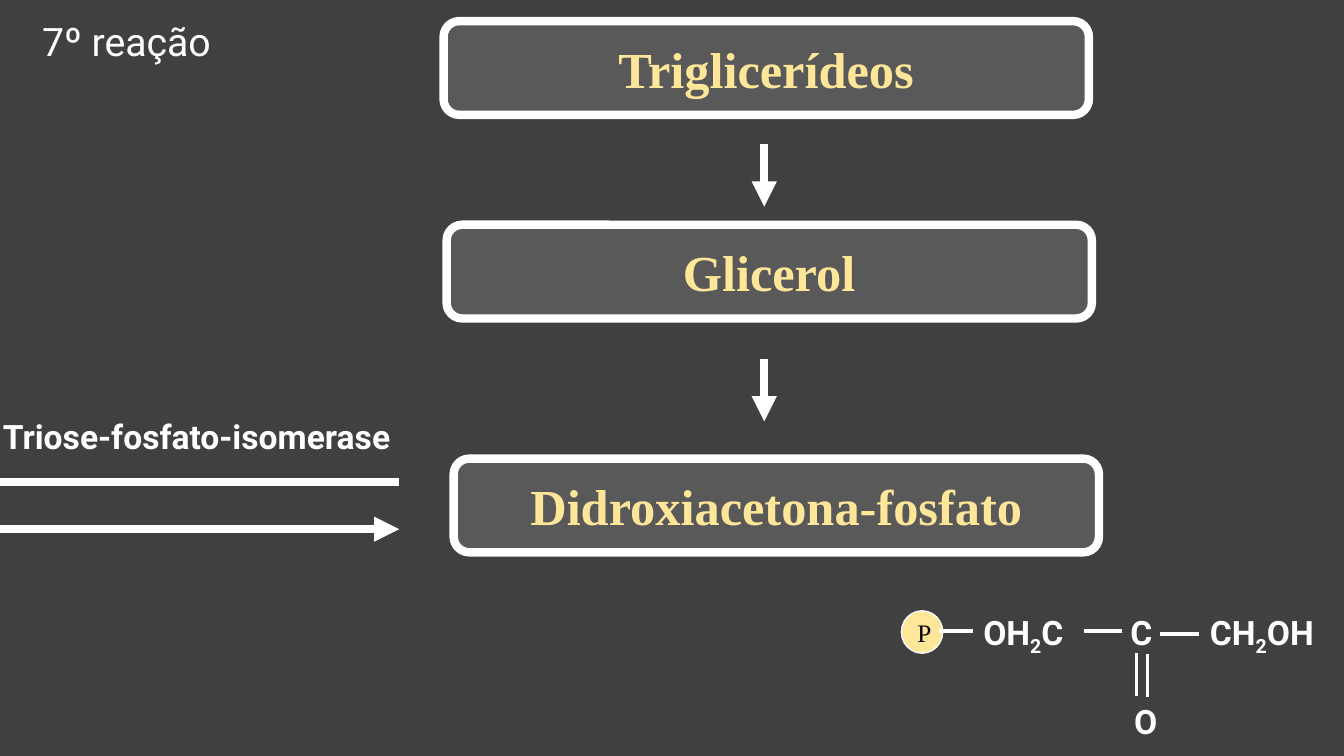
"""Build the slide on the seventh reaction: triglycerides to dihydroxyacetone phosphate."""
from lxml import etree
from pptx import Presentation
from pptx.dml.color import RGBColor
from pptx.enum.shapes import MSO_CONNECTOR, MSO_SHAPE
from pptx.enum.text import MSO_ANCHOR, PP_ALIGN
from pptx.oxml.ns import qn
from pptx.util import Inches, Pt

STRAIGHT = MSO_CONNECTOR.STRAIGHT
ROUNDED, OVAL = MSO_SHAPE.ROUNDED_RECTANGLE, MSO_SHAPE.OVAL
MIDDLE = MSO_ANCHOR.MIDDLE
CENTER, RIGHT = PP_ALIGN.CENTER, PP_ALIGN.RIGHT
COLORS = {
    name: RGBColor.from_string(value)
    for name, value in {
        "background": "404040",
        "box": "595959",
        "white": "FFFFFF",
        "yellow": "FFE699",
        "black": "000000",
    }.items()
}

presentation = Presentation()
presentation.slide_width = Inches(13.33)
presentation.slide_height = Inches(7.5)
slide = presentation.slides.add_slide(presentation.slide_layouts[6])
slide.background.fill.solid()
slide.background.fill.fore_color.rgb = COLORS["background"]


def write(shape, parts, size, font_name, color, bold, alignment=CENTER):
    """Write one paragraph whose every second part is a subscript."""
    shape.text_frame.word_wrap = True
    paragraph = shape.text_frame.paragraphs[0]
    paragraph.alignment = alignment
    for index, part in enumerate(parts):
        run = paragraph.add_run()
        run.text = part
        run.font.size = Pt(size)
        run.font.name = font_name
        run.font.bold = bold
        run.font.color.rgb = COLORS[color]
        if index % 2:
            run.font._element.set("baseline", "-25000")


def add_line(start_x, start_y, end_x, end_y, width, arrow=False):
    """Draw a white straight line, with an arrowhead at its end if wanted."""
    connector = slide.shapes.add_connector(
        STRAIGHT, Inches(start_x), Inches(start_y), Inches(end_x), Inches(end_y)
    )
    connector.line.color.rgb = COLORS["white"]
    connector.line.width = Pt(width)
    if arrow:
        etree.SubElement(connector.line._get_or_add_ln(), qn("a:tailEnd"), type="triangle")
    etree.SubElement(connector._element.spPr, qn("a:effectLst"))


filled_shapes = [
    (ROUNDED, 4.4, 0.21, 6.4, 0.93, "box", 6, "Triglicerídeos", 36, "yellow", True),
    (ROUNDED, 4.43, 2.23, 6.4, 0.93, "box", 6, "Glicerol", 36, "yellow", True),
    (ROUNDED, 4.5, 4.55, 6.4, 0.93, "box", 6, "Didroxiacetona-fosfato", 36, "yellow", True),
    (OVAL, 8.94, 6.06, 0.41, 0.42, "yellow", 1, "P", 18, "black", False),
]
for kind, left, top, width, height, fill, border, label, size, color, bold in filled_shapes:
    shape = slide.shapes.add_shape(kind, Inches(left), Inches(top), Inches(width), Inches(height))
    shape.shadow.inherit = False
    shape.fill.solid()
    shape.fill.fore_color.rgb = COLORS[fill]
    shape.line.color.rgb = COLORS["white"]
    shape.line.width = Pt(border)
    shape.text_frame.vertical_anchor = MIDDLE
    write(shape, [label], size, "Times New Roman", color, bold)

for arrow_top in (1.43, 3.56):
    add_line(7.58, arrow_top, 7.58, arrow_top + 0.62, 6, arrow=True)
add_line(3.96, 4.78, -0.41, 4.78, 6, arrow=True)
add_line(-0.41, 5.25, 3.96, 5.25, 6, arrow=True)

bonds = [
    (9.65, 6.26, 9.31, 6.26),
    (10.75, 6.26, 11.13, 6.26),
    (11.51, 6.29, 11.89, 6.29),
    (11.27, 6.48, 11.27, 6.9),
    (11.38, 6.49, 11.38, 6.91),
]
for bond in bonds:
    add_line(*bond, 2.25)

labels = [
    (0.02, 0.12, 2.47, 0.57, ["7º reação"], 28, False, CENTER),
    (-0.09, 4.08, 4.06, 0.5, ["Triose-fosfato-isomerase"], 24, True, RIGHT),
    (9.47, 6.02, 1.36, 0.5, ["OH", "2", "C"], 24, True, CENTER),
    (11.06, 6.02, 0.52, 0.5, ["C"], 24, True, CENTER),
    (11.82, 6.02, 1.39, 0.5, ["CH", "2", "OH"], 24, True, CENTER),
    (11.15, 6.9, 0.39, 0.5, ["O"], 24, True, CENTER),
]
for left, top, width, height, parts, size, bold, alignment in labels:
    text_box = slide.shapes.add_textbox(Inches(left), Inches(top), Inches(width), Inches(height))
    write(text_box, parts, size, "Roboto", "white", bold, alignment)

presentation.save("out.pptx")
